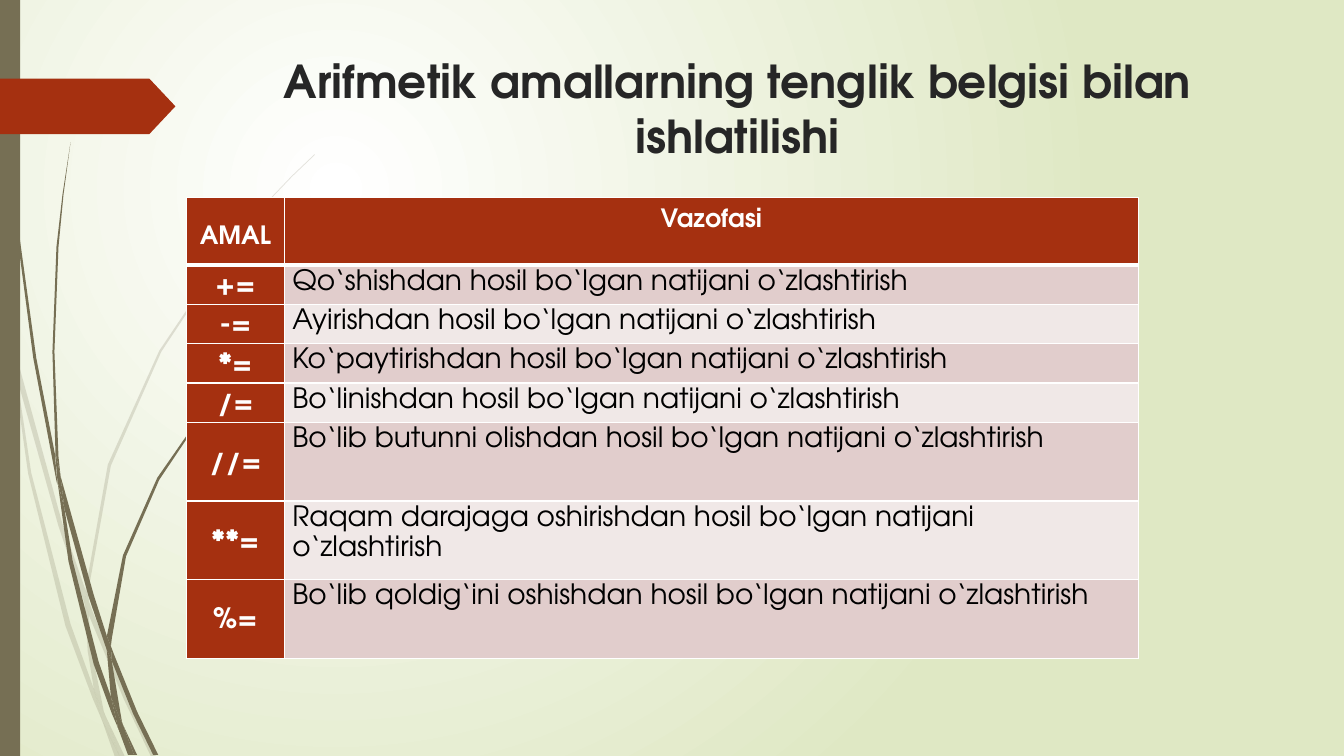
from lxml.etree import SubElement
from pptx import Presentation
from pptx.dml.color import RGBColor
from pptx.enum.shapes import MSO_SHAPE
from pptx.enum.text import MSO_ANCHOR, PP_ALIGN
from pptx.oxml import parse_xml
from pptx.oxml.ns import nsdecls, qn
from pptx.util import Emu, Pt

# Content
TITLE = "Arifmetik amallarning tenglik belgisi bilan ishlatilishi"
HEADER = ("AMAL", "Vazofasi")
OPERATORS = [
    ("+=", "Qo‘shishdan hosil bo‘lgan natijani o‘zlashtirish"),
    ("-=", "Ayirishdan hosil bo‘lgan natijani o‘zlashtirish"),
    ("*=", "Ko‘paytirishdan hosil bo‘lgan natijani o‘zlashtirish"),
    ("/=", "Bo‘linishdan hosil bo‘lgan natijani o‘zlashtirish"),
    ("//=", "Bo‘lib butunni olishdan hosil bo‘lgan natijani o‘zlashtirish"),
    ("**=", "Raqam darajaga oshirishdan hosil bo‘lgan natijani o‘zlashtirish"),
    ("%=", "Bo‘lib qoldig‘ini oshishdan hosil bo‘lgan natijani o‘zlashtirish"),
]
COLUMN_WIDTHS = (97, 847)
ROW_HEIGHTS = [67] + [37] * 4 + [78] * 3

FONT = "TeX Gyre Adventor"
RUST, OLIVE, WHITE, BLACK, INK = "A53010", "766F54", "FFFFFF", "000000", "262626"
BANDS = ("E1CDCC", "F0E8E7")

# Grass: outline of each piece of a blade, in px
PALE_GRASS = [
    [(11, 350), (9, 322), (0, 282), (0, 299), (10, 344)],
    [(58, 522), (84, 599), (85, 586), (62, 520), (14, 345), (17, 376)],
    [(92, 607), (88, 596), (88, 610), (123, 694), (150, 751), (155, 751), (127, 692)],
    [(119, 751), (124, 751), (105, 711)],
    [(93, 683), (70, 619), (31, 469), (17, 376), (11, 350), (28, 470), (65, 621),
     (92, 693), (101, 714), (99, 707)],
    [(84, 599), (87, 646), (93, 683), (96, 692), (105, 711), (103, 706), (91, 646),
     (88, 610), (88, 608)],
    [(88, 584), (110, 462), (160, 349), (229, 245), (268, 198), (290, 175), (312, 154),
     (312, 153), (289, 175), (268, 197), (228, 244), (158, 348), (107, 461), (85, 584),
     (85, 586), (88, 596)],
    [(101, 714), (114, 751), (119, 751)],
    [(88, 608), (88, 610), (88, 596), (85, 586), (84, 599)],
    [(96, 692), (93, 683), (99, 707), (101, 714), (119, 751), (105, 711)],
]
DARK_GRASS = [
    [(7, 110), (17, 233), (33, 355), (56, 477), (57, 481), (55, 457), (55, 453), (36, 355),
     (19, 232), (8, 109), (5, 48), (4, 0), (3, 0), (4, 48)],
    [(88, 592), (106, 645), (106, 633), (106, 631), (93, 590), (60, 472), (64, 505)],
    [(113, 649), (110, 641), (111, 656), (132, 708), (152, 749), (157, 749), (136, 706)],
    [(110, 691), (98, 657), (72, 556), (64, 505), (57, 477), (68, 557), (93, 659),
     (111, 708), (117, 722), (116, 717)],
    [(60, 472), (58, 453), (54, 349), (58, 245), (63, 193), (70, 141), (62, 193),
     (56, 245), (52, 349), (55, 449)],
    [(133, 749), (136, 749), (122, 719)],
    [(57, 477), (64, 505), (60, 472), (55, 449), (55, 453)],
    [(111, 633), (125, 552), (158, 476), (205, 406), (231, 374), (245, 359), (261, 344),
     (260, 344), (245, 358), (231, 373), (204, 405), (156, 474), (122, 551), (106, 631),
     (110, 641)],
    [(117, 722), (127, 749), (131, 749)],
    [(106, 645), (110, 691), (116, 706), (122, 719), (121, 716), (111, 656), (109, 651)],
    [(106, 645), (109, 651), (111, 656), (110, 641), (106, 631), (106, 633)],
    [(116, 706), (110, 691), (116, 717), (117, 722), (130, 749), (133, 749), (122, 719)],
]


def px(value):
    return Emu(value * 9144)


def color(hex_string):
    return RGBColor.from_string(hex_string)


def paint(shape, fill_color):
    shape.shadow.inherit = False
    shape.fill.solid()
    shape.fill.fore_color.rgb = color(fill_color)
    shape.line.fill.background()


def write(paragraph, text, size, text_color, bold, **layout):
    paragraph.text = text
    for name, value in layout.items():
        setattr(paragraph, name, value)
    font = paragraph.runs[0].font
    for name, value in {"name": FONT, "size": Pt(size), "bold": bold}.items():
        setattr(font, name, value)
    font.color.rgb = color(text_color)


def add_blade(shapes, outline, opacity):
    builder = shapes.build_freeform(*outline[0], scale=px(1))
    builder.add_line_segments(outline[1:], close=True)
    blade = builder.convert_to_shape()
    paint(blade, OLIVE)
    if opacity < 100:
        fill_color = blade.element.spPr.find(qn("a:solidFill"))[0]
        SubElement(fill_color, qn("a:alpha"), val=str(opacity * 1000))


def set_borders(cell, widths):
    properties = cell._tc.get_or_add_tcPr()
    for index, (side, width) in enumerate(widths.items()):
        properties.insert(index, parse_xml(
            f'<a:ln{side} {nsdecls("a")} w="{Pt(width)}"><a:solidFill>'
            f'<a:srgbClr val="{WHITE}"/></a:solidFill></a:ln{side}>'))


presentation = Presentation()
presentation.slide_width, presentation.slide_height = px(1333), px(750)
slide = presentation.slides.add_slide(presentation.slide_layouts[6])
shapes = slide.shapes

# Radial background
background = slide.background.fill
background.gradient()
for stop, stop_color in zip(background.gradient_stops, (WHITE, "DFE8C4")):
    stop.color.rgb = color(stop_color)
linear = slide.element.find(".//" + qn("a:lin"))
linear.getparent().replace(linear, parse_xml(
    f'<a:path {nsdecls("a")} path="circle">'
    '<a:fillToRect l="50000" t="50000" r="100000" b="100000"/></a:path>'))

# Grass, side bar and arrow tag
for pieces, opacity in ((PALE_GRASS, 20), (DARK_GRASS, 100)):
    for outline in pieces:
        add_blade(shapes, outline, opacity)
side_bar = shapes.add_shape(MSO_SHAPE.RECTANGLE, 0, 0, px(20), px(750))
paint(side_bar, OLIVE)
arrow_tag = shapes.add_shape(MSO_SHAPE.PENTAGON, 0, px(78), px(174), px(55))
arrow_tag.adjustments[0] = 0.47
paint(arrow_tag, RUST)

# Title
title_frame = shapes.add_textbox(px(205), px(48), px(1053), px(140)).text_frame
title_frame.word_wrap = True
write(title_frame.paragraphs[0], TITLE, 32.4, INK, True, alignment=PP_ALIGN.CENTER)

# Table
rows = [HEADER, *OPERATORS]
table = shapes.add_table(len(rows), 2, px(185), px(196),
                         px(sum(COLUMN_WIDTHS)), px(sum(ROW_HEIGHTS))).table
for column, width in zip(table.columns, COLUMN_WIDTHS):
    column.width = px(width)
for row, height in zip(table.rows, ROW_HEIGHTS):
    row.height = px(height)
for row_index, texts in enumerate(rows):
    for column_index, text in enumerate(texts):
        cell = table.cell(row_index, column_index)
        is_header, is_operator = row_index == 0, column_index == 0
        strong = is_header or is_operator
        side_margin = px(7 if is_operator else 8)
        cell_format = {
            "margin_left": side_margin, "margin_right": side_margin,
            "margin_top": 0, "margin_bottom": 0,
            "vertical_anchor": MSO_ANCHOR.MIDDLE if is_operator else MSO_ANCHOR.TOP,
        }
        for name, value in cell_format.items():
            setattr(cell, name, value)
        cell.fill.solid()
        cell.fill.fore_color.rgb = color(RUST if strong else BANDS[(row_index - 1) % 2])
        set_borders(cell, {"L": 1, "R": 1, "T": 3 if row_index == 1 else 1,
                           "B": 3 if is_header else 1})
        write(cell.text_frame.paragraphs[0], text, 18 if is_header else 20,
              WHITE if strong else BLACK, strong,
              line_spacing=1.5 if is_header else 1.17,
              alignment=PP_ALIGN.CENTER if strong else PP_ALIGN.LEFT)

presentation.save("out.pptx")
